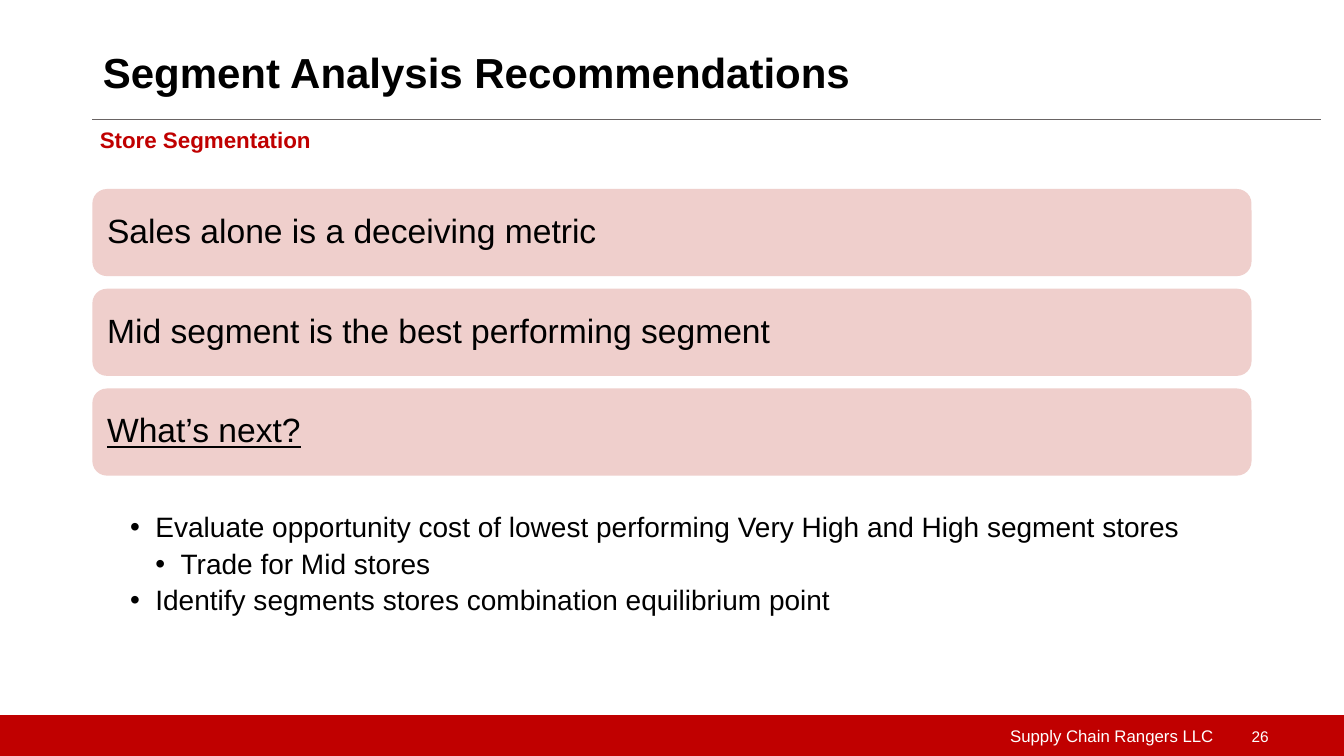
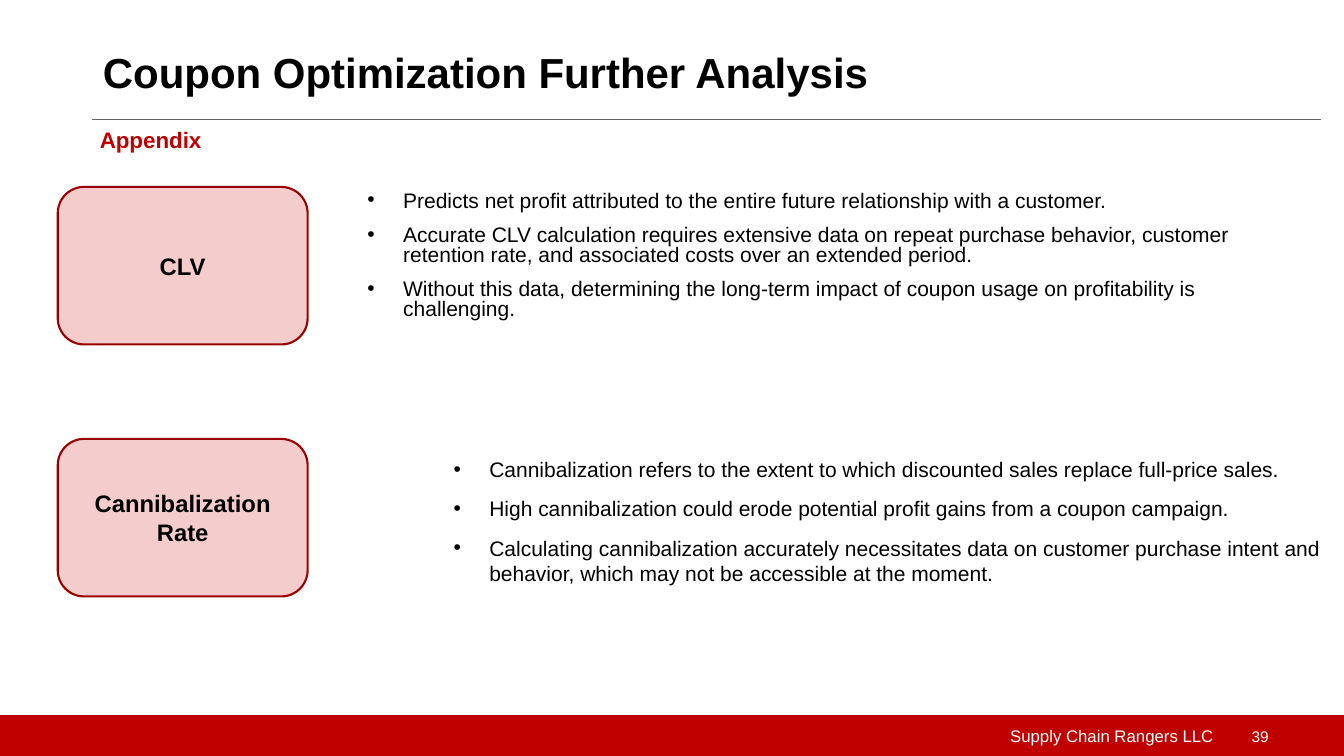
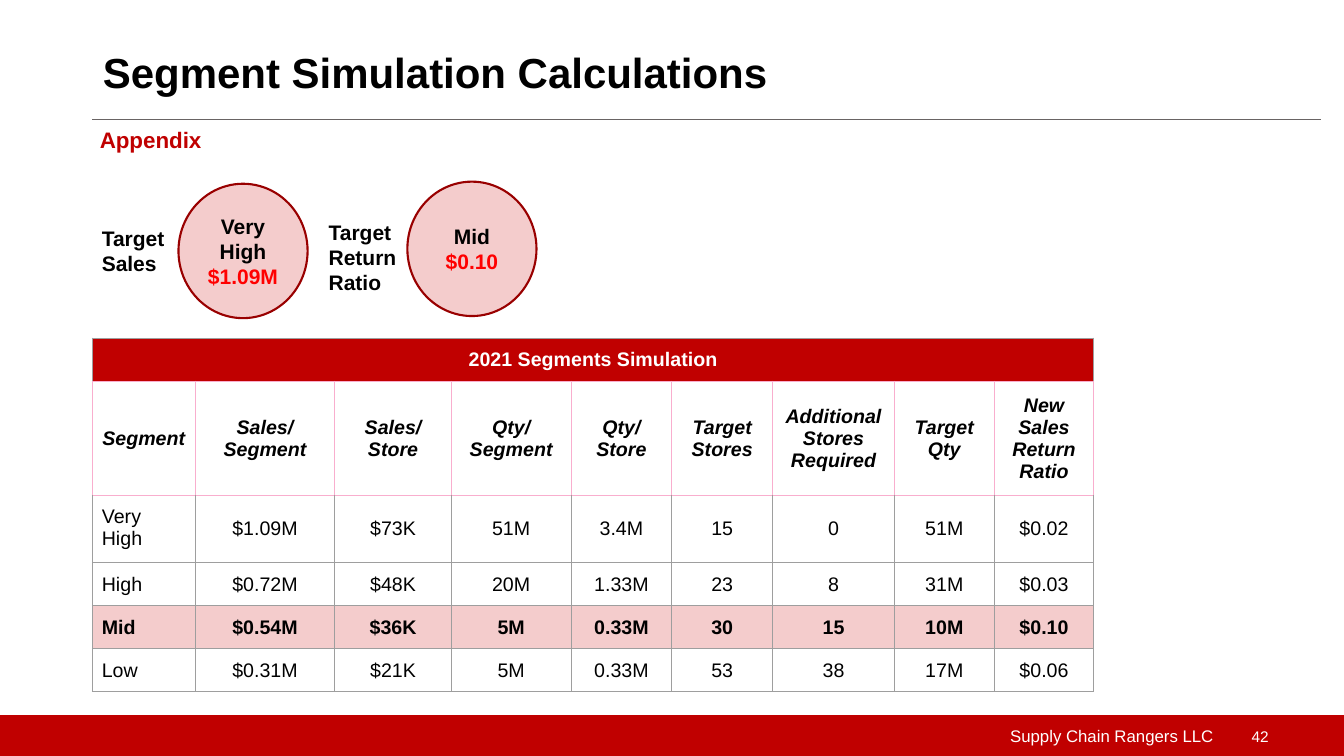
from dataclasses import dataclass, replace
from typing import NamedTuple

from lxml import etree
from pptx import Presentation
from pptx import util as u
from pptx.dml.color import RGBColor
from pptx.enum import shapes, text
from pptx.oxml.ns import qn

SCALE = 9525
FONT = "Arial"
COLORS = {
    "black": "000000",
    "white": "FFFFFF",
    "brand": "C00000",
    "edge": "990000",
    "blush": "F4CCCC",
    "card": "EFCFCC",
    "rule": "696464",
    "grid": "9E9E9E",
    "pink": "F9AECE",
    "alert": "FF0000",
}
LEFT, CENTER, RIGHT = text.PP_ALIGN.LEFT, text.PP_ALIGN.CENTER, text.PP_ALIGN.RIGHT
TOP, MIDDLE = text.MSO_ANCHOR.TOP, text.MSO_ANCHOR.MIDDLE
SHAPE = shapes.MSO_SHAPE


class Area(NamedTuple):
    left: int
    top: int
    width: int
    height: int


class Span(NamedTuple):
    text: str
    color: str = ""


class Line(NamedTuple):
    spans: tuple[Span, ...]
    level: int = 0


@dataclass(frozen=True)
class Style:
    size: int
    color: str = "black"
    bold: bool = False
    italic: bool = False
    underline: bool = False
    align: text.PP_ALIGN = LEFT
    anchor: text.MSO_ANCHOR = TOP
    inset: tuple[int, int, int, int] = (9, 10, 9, 10)
    spacing: float = 1.0
    before: float = 0
    after: float = 0
    hang: int = 0
    indent: int = 0


@dataclass(frozen=True)
class Topic:
    label: str
    top: int
    list_area: Area
    spacing: float
    points: tuple[str, ...]


@dataclass(frozen=True)
class Target:
    label: str
    label_area: Area
    circle_area: Area
    lines: tuple[Line, ...]


FRAME = (10, 5, 10, 5)
TITLE = Style(30, bold=True, anchor=MIDDLE, inset=FRAME, spacing=0.9)
SUBTITLE = Style(16, "brand", bold=True, inset=FRAME)
FOOTER = Style(12, "white", align=RIGHT, inset=FRAME)
NUMBER = Style(11, "white", inset=(10, 10, 10, 10))
CARD = Style(24, anchor=MIDDLE, inset=(10, 10, 10, 10), spacing=0.9)
NEXT_STEPS = Style(20, inset=(36, 3, 15, 3), spacing=0.9, after=4.6, hang=24, indent=24)
POINTS = Style(15, inset=FRAME, before=10, hang=34, indent=48)
TOPIC = Style(17, bold=True, align=CENTER, anchor=MIDDLE)
LABEL = Style(15, bold=True)
CIRCLE = replace(LABEL, align=CENTER, anchor=MIDDLE)
CELL = Style(14, align=CENTER, anchor=MIDDLE)

CARDS = (
    "Sales alone is a deceiving metric",
    "Mid segment is the best performing segment",
    "What’s next?",
)
STEPS = (
    Line((Span("Evaluate opportunity cost of lowest performing Very High and High segment stores"),)),
    Line((Span("Trade for Mid stores"),), 1),
    Line((Span("Identify segments stores combination equilibrium point"),)),
)
TOPICS = (
    Topic("CLV", 178, Area(326, 178, 872, 171), 0.8, (
        "Predicts net profit attributed to the entire future relationship with a customer.",
        "Accurate CLV calculation requires extensive data on repeat purchase behavior, customer "
        "retention rate, and associated costs over an extended period.",
        "Without this data, determining the long-term impact of coupon usage on profitability is "
        "challenging.",
    )),
    Topic("Cannibalization Rate", 418, Area(408, 430, 872, 148), 1.0, (
        "Cannibalization refers to the extent to which discounted sales replace full-price sales.",
        "High cannibalization could erode potential profit gains from a coupon campaign.",
        "Calculating cannibalization accurately necessitates data on customer purchase intent and "
        "behavior, which may not be accessible at the moment.",
    )),
)
TARGETS = (
    Target("Target Sales", Area(88, 205, 83, 68), Area(170, 175, 123, 128),
           (Line((Span("Very High "), Span("$1.09M", "alert"))),)),
    Target("Target Return Ratio", Area(304, 199, 93, 92), Area(388, 173, 123, 128),
           (Line((Span("Mid"),)), Line((Span("$0.10", "alert"),)))),
)
COLUMN_WIDTHS = (98, 133, 111, 114, 96, 96, 116, 95, 95)
ROW_HEIGHTS = (41, 109, 64, 41, 41, 41)
SIMULATION = (
    ("2021 Segments Simulation",) + ("",) * 8,
    ("Segment", "Sales/\nSegment", "Sales/\nStore", "Qty/\nSegment", "Qty/\nStore",
     "Target Stores", "Additional Stores Required", "Target\nQty", "New Sales Return Ratio"),
    ("Very High", "$1.09M", "$73K", "51M", "3.4M", "15", "0", "51M", "$0.02"),
    ("High", "$0.72M", "$48K", "20M", "1.33M", "23", "8", "31M", "$0.03"),
    ("Mid", "$0.54M", "$36K", "5M", "0.33M", "30", "15", "10M", "$0.10"),
    ("Low", "$0.31M", "$21K", "5M", "0.33M", "53", "38", "17M", "$0.06"),
)


def px(length: int) -> u.Emu:
    return u.Emu(length * SCALE)


def rgb(color: str) -> RGBColor:
    return RGBColor.from_string(COLORS[color])


def apply(item, values: dict) -> None:
    for name, value in values.items():
        setattr(item, name, value)


def plain(content: str) -> tuple[Line, ...]:
    return tuple(Line((Span(part),)) for part in content.split("\n"))


def set_insets(item, style: Style) -> None:
    sides = ("margin_left", "margin_top", "margin_right", "margin_bottom")
    apply(item, dict(zip(sides, map(px, style.inset))))


def add_bullet(paragraph, style: Style, level: int) -> None:
    properties = paragraph._p.get_or_add_pPr()
    properties.set("marL", str(px(style.indent + level * style.hang)))
    properties.set("indent", str(px(-style.hang)))
    color = etree.SubElement(properties, qn("a:buClr"))
    etree.SubElement(color, qn("a:srgbClr"), val=COLORS[style.color])
    etree.SubElement(properties, qn("a:buFont"), typeface=FONT)
    etree.SubElement(properties, qn("a:buChar"), char="•")


def write(frame, lines: tuple[Line, ...], style: Style) -> None:
    for index, line in enumerate(lines):
        paragraph = frame.add_paragraph() if index else frame.paragraphs[0]
        if style.hang:
            add_bullet(paragraph, style, line.level)
        apply(paragraph, {
            "level": line.level,
            "alignment": style.align,
            "line_spacing": style.spacing,
            "space_before": u.Pt(style.before if index else 0),
            "space_after": u.Pt(style.after),
        })
        for part in line.spans:
            span = paragraph.add_run()
            span.text = part.text
            apply(span.font, {
                "name": FONT,
                "size": u.Pt(style.size),
                "bold": style.bold,
                "italic": style.italic,
                "underline": style.underline,
            })
            span.font.color.rgb = rgb(part.color or style.color)


def fill_frame(box, lines: tuple[Line, ...], style: Style) -> None:
    frame = box.text_frame
    apply(frame, {
        "word_wrap": True,
        "auto_size": text.MSO_AUTO_SIZE.NONE,
        "vertical_anchor": style.anchor,
    })
    set_insets(frame, style)
    write(frame, lines, style)


def fill_placeholder(box, area: Area, lines: tuple[Line, ...], style: Style) -> None:
    apply(box, dict(zip(Area._fields, map(px, area))))
    fill_frame(box, lines, style)


def add_text(page, area: Area, content: str, style: Style) -> None:
    fill_frame(page.shapes.add_textbox(*map(px, area)), plain(content), style)


def add_box(page, kind: shapes.MSO_SHAPE, area: Area, fill: str, edge: str = "",
            weight: float = 1.5):
    box = page.shapes.add_shape(kind, *map(px, area))
    box.shadow.inherit = False
    box.fill.solid()
    box.fill.fore_color.rgb = rgb(fill)
    if edge:
        box.line.color.rgb = rgb(edge)
        box.line.width = u.Pt(weight)
    else:
        box.line.fill.background()
    return box


def add_page(deck, layout: int, title: str, subtitle: str, number: int):
    page = deck.slides.add_slide(deck.slide_layouts[layout])
    fill_placeholder(page.shapes.title, Area(88, 2, 1182, 139), plain(title), TITLE)
    add_box(page, SHAPE.RECTANGLE, Area(0, 682, 1280, 38), "brand", "brand", 1)
    add_text(page, Area(751, 686, 415, 34), "Supply Chain Rangers LLC", FOOTER)
    add_text(page, Area(1182, 682, 56, 29), str(number), NUMBER)
    rule = page.shapes.add_connector(
        shapes.MSO_CONNECTOR.STRAIGHT, px(88), px(114), px(1258), px(114))
    rule.line.color.rgb = rgb("rule")
    rule.line.width = u.Pt(0.75)
    etree.SubElement(rule._element.spPr, qn("a:effectLst"))
    add_text(page, Area(85, 115, 640, 36), subtitle, SUBTITLE)
    return page


def add_recommendations(deck) -> None:
    page = add_page(deck, 1, "Segment Analysis Recommendations", "Store Segmentation", 26)
    for index, content in enumerate(CARDS):
        card = add_box(page, SHAPE.ROUNDED_RECTANGLE, Area(88, 180 + 95 * index, 1104, 83), "card")
        fill_frame(card, plain(content), replace(CARD, underline=content == CARDS[-1]))
    fill_placeholder(page.placeholders[1], Area(88, 486, 1104, 100), STEPS, NEXT_STEPS)


def add_coupon_analysis(deck) -> None:
    page = add_page(deck, 3, "Coupon Optimization Further Analysis", "Appendix", 39)
    for index, topic in enumerate(TOPICS, 1):
        box = add_box(page, SHAPE.ROUNDED_RECTANGLE, Area(55, topic.top, 238, 150), "blush", "edge")
        fill_frame(box, plain(topic.label), TOPIC)
        fill_placeholder(page.placeholders[index], topic.list_area,
                         plain("\n".join(topic.points)), replace(POINTS, spacing=topic.spacing))


def cell_style(row: int, column: int) -> Style:
    if row == 0:
        return replace(CELL, color="white", bold=True, anchor=TOP)
    if row == 1:
        return replace(CELL, bold=True, italic=True)
    style = replace(CELL, bold=SIMULATION[row][0] == "Mid")
    return style if column else replace(style, align=LEFT, anchor=TOP)


def set_borders(cell, row: int) -> None:
    pink_sides = {0: "B", 1: "LRTB", 2: "T"}.get(row, "")
    properties = cell._tc.get_or_add_tcPr()
    for index, side in enumerate("LRTB"):
        border = etree.Element(qn(f"a:ln{side}"), w=str(u.Pt(0.75)))
        fill = etree.SubElement(border, qn("a:solidFill"))
        color = "pink" if side in pink_sides else "grid"
        etree.SubElement(fill, qn("a:srgbClr"), val=COLORS[color])
        properties.insert(index, border)


def add_simulation_table(page) -> None:
    area = Area(88, 322, sum(COLUMN_WIDTHS), sum(ROW_HEIGHTS))
    table = page.shapes.add_table(
        len(ROW_HEIGHTS), len(COLUMN_WIDTHS), *map(px, area)).table
    apply(table, {"first_row": False, "horz_banding": False})
    for column, width in zip(table.columns, COLUMN_WIDTHS):
        column.width = px(width)
    for row, height in zip(table.rows, ROW_HEIGHTS):
        row.height = px(height)
    table.cell(0, 0).merge(table.cell(0, len(COLUMN_WIDTHS) - 1))
    for row, values in enumerate(SIMULATION):
        fill = "brand" if row == 0 else "blush" if values[0] == "Mid" else ""
        for column, value in enumerate(values):
            cell = table.cell(row, column)
            style = cell_style(row, column)
            cell.vertical_anchor = style.anchor
            set_insets(cell, style)
            if value:
                write(cell.text_frame, plain(value), style)
            if fill:
                cell.fill.solid()
                cell.fill.fore_color.rgb = rgb(fill)
            else:
                cell.fill.background()
            set_borders(cell, row)


def add_simulation(deck) -> None:
    page = add_page(deck, 5, "Segment Simulation Calculations", "Appendix", 42)
    for target in TARGETS:
        add_text(page, target.label_area, target.label, LABEL)
        circle = add_box(page, SHAPE.OVAL, target.circle_area, "blush", "edge")
        fill_frame(circle, target.lines, CIRCLE)
    add_simulation_table(page)


def main() -> None:
    deck = Presentation()
    apply(deck, {"slide_width": px(1280), "slide_height": px(720)})
    add_recommendations(deck)
    add_coupon_analysis(deck)
    add_simulation(deck)
    deck.save("out.pptx")


if __name__ == "__main__":
    main()
